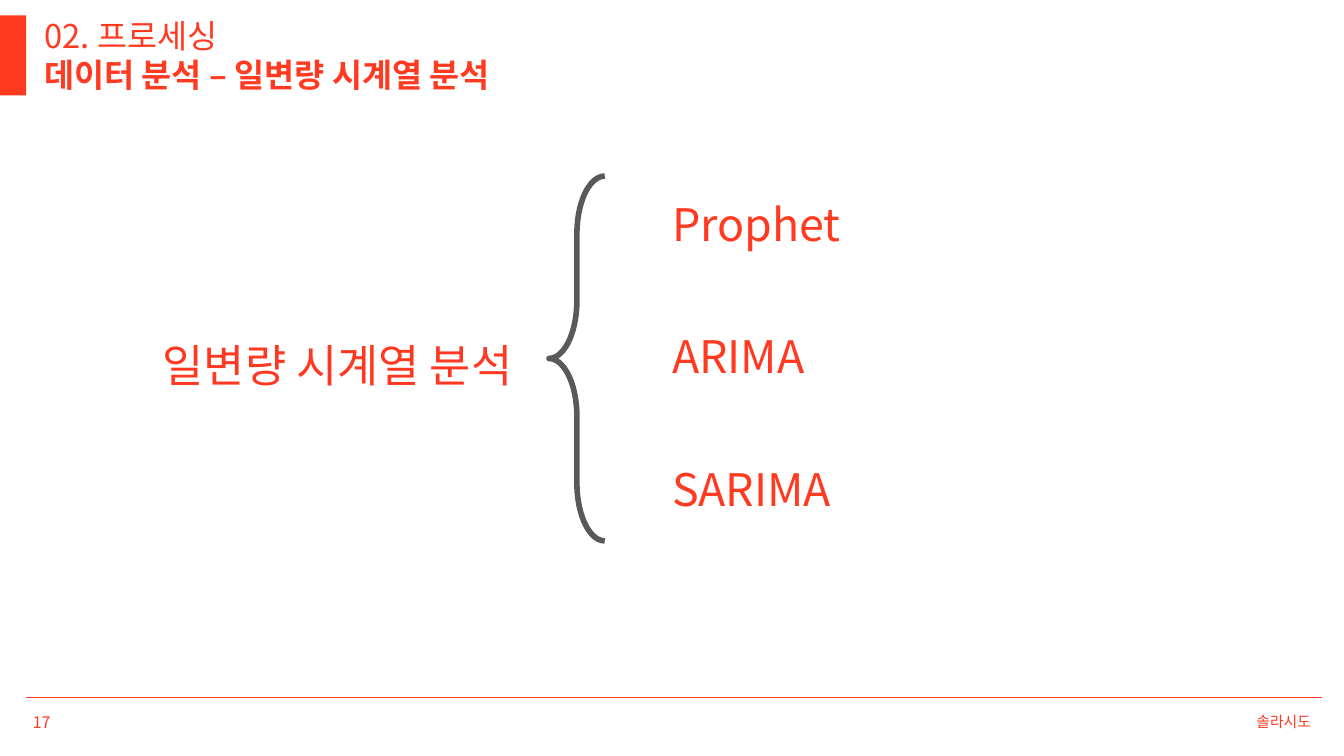
from lxml import etree
from pptx import Presentation
from pptx.dml.color import RGBColor
from pptx.enum.shapes import MSO_CONNECTOR, MSO_SHAPE
from pptx.enum.text import MSO_ANCHOR, MSO_AUTO_SIZE, PP_ALIGN
from pptx.oxml.ns import qn
from pptx.util import Inches, Pt

RECTANGLE, LEFT_BRACE = MSO_SHAPE.RECTANGLE, MSO_SHAPE.LEFT_BRACE
STRAIGHT = MSO_CONNECTOR.STRAIGHT
MIDDLE = MSO_ANCHOR.MIDDLE
GROW = MSO_AUTO_SIZE.SHAPE_TO_FIT_TEXT
LEFT, RIGHT = PP_ALIGN.LEFT, PP_ALIGN.RIGHT

FONT = "Noto Sans CJK KR"
RED, TEXT_RED, GRAY = "FF3A21", "FF3921", "595959"


def color(value):
    return RGBColor.from_string(value)


def style_paragraph(para, size, tint, bold):
    font = para.font
    font.size = Pt(size)
    font.bold = bold
    font.color.rgb = color(tint)
    font.name = FONT
    # Korean glyphs take the East Asian typeface
    defaults = para._p.pPr.find(qn("a:defRPr"))
    etree.SubElement(defaults, qn("a:ea"), typeface=FONT)


def add_text(page, text, left, top, width, height, size, tint=RED,
             bold=False, spacing=None, align=LEFT):
    """Tight growing box when line spacing is given, else a centred label."""
    box = page.shapes.add_textbox(Inches(left), Inches(top), Inches(width), Inches(height))
    frame = box.text_frame
    frame.word_wrap = True
    para = frame.paragraphs[0]
    para.text = text
    para.alignment = align
    if spacing:
        frame.margin_left = frame.margin_right = 0
        frame.margin_top = frame.margin_bottom = 0
        frame.auto_size = GROW
        para.line_spacing = Pt(spacing)
    else:
        frame.vertical_anchor = MIDDLE
    style_paragraph(para, size, tint, bold)


def add_header(page, left, top, height, section, title):
    # Red tab at the slide edge
    tab = page.shapes.add_shape(RECTANGLE, Inches(left), Inches(top), Inches(0.39), Inches(height))
    tab.shadow.inherit = False
    tab.fill.solid()
    tab.fill.fore_color.rgb = color(RED)
    tab.line.fill.background()
    # Section and title lines
    text_left = left + 0.66
    add_text(page, section, text_left, top, 10.34, 0.61, 35, spacing=42)
    add_text(page, title, text_left, top + 0.58, 12.39, 0.61, 35, bold=True, spacing=42)


def add_method_tree(page, left, top, height, topic, methods):
    # Topic on the left
    add_text(page, topic, left, top + 2.64, 5.58, 0.62, 48, TEXT_RED, spacing=40.6)
    # Brace
    brace = page.shapes.add_shape(LEFT_BRACE, Inches(left + 5.75), Inches(top),
                                  Inches(0.83), Inches(height))
    brace.adjustments[0] = 1.043
    brace.adjustments[1] = 0.5
    brace.shadow.inherit = False
    brace.fill.background()
    brace.line.color.rgb = color(GRAY)
    brace.line.width = Pt(6)
    # Methods at an equal pitch
    for row, method in enumerate(methods):
        add_text(page, method, left + 7.58, top + 0.55 + 1.975 * row, 2.69, 0.6, 48,
                 spacing=39.2 if row else 40.6)


def add_footer(page, left, top, width, number, team):
    rule = page.shapes.add_connector(STRAIGHT, Inches(left), Inches(top),
                                     Inches(left + width), Inches(top))
    rule.line.color.rgb = color(RED)
    rule.line.width = Pt(1.5)
    etree.SubElement(rule._element.spPr, qn("a:effectLst"))
    # Page number and team name
    add_text(page, number, left, top + 0.16, 2.33, 0.4, 17, TEXT_RED)
    add_text(page, team, left + width - 3.23, top + 0.16, 3.17, 0.4, 16, TEXT_RED, align=RIGHT)


def main():
    deck = Presentation()
    deck.slide_width, deck.slide_height = Inches(20), Inches(11.25)
    page = deck.slides.add_slide(deck.slide_layouts[6])
    add_header(page, 0, 0.23, 1.19, "02. 프로세싱", "데이터 분석 – 일변량 시계열 분석")
    add_method_tree(page, 2.42, 2.62, 5.43, "일변량 시계열 분석",
                    ["Prophet", "ARIMA", "SARIMA"])
    add_footer(page, 0.39, 10.38, 19.28, "17", "솔라시도")
    deck.save("out.pptx")


if __name__ == "__main__":
    main()
